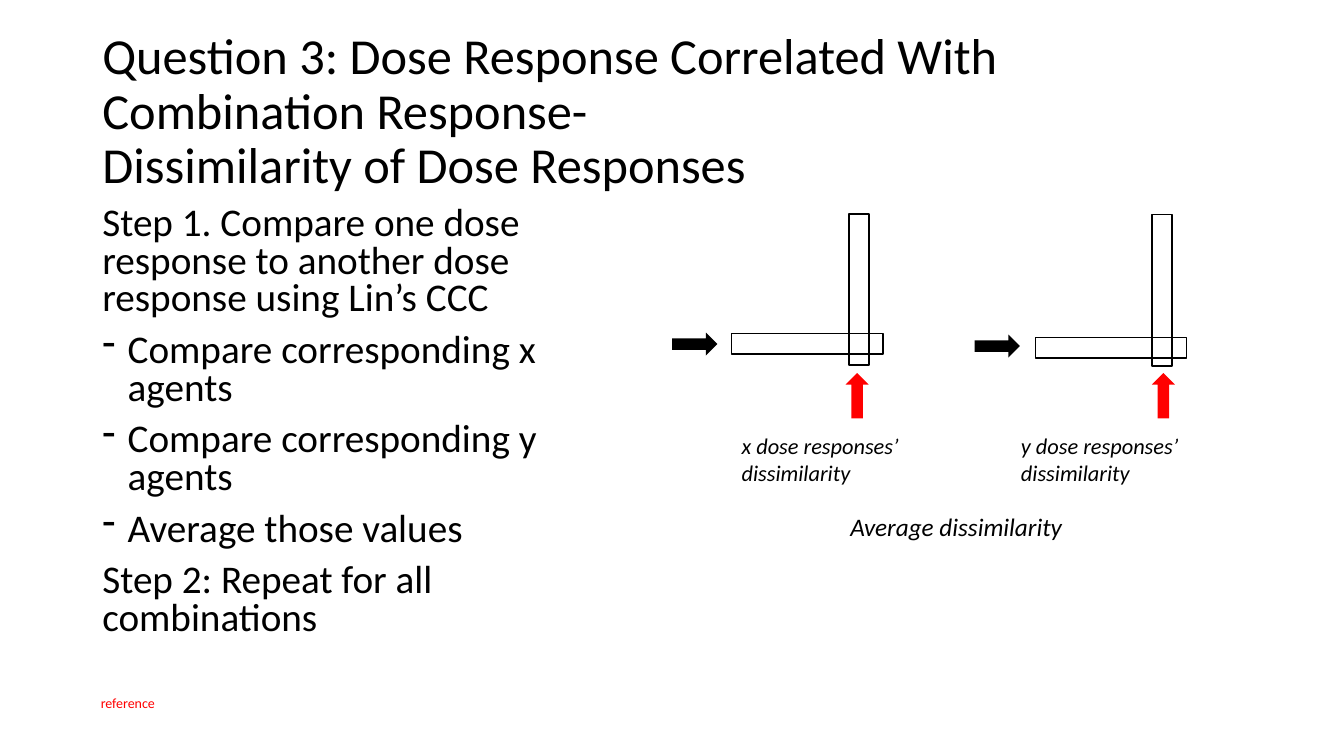
"""Build the slide on dissimilarity of dose responses."""
from dataclasses import dataclass

from lxml import etree
from pptx import Presentation
from pptx.dml.color import RGBColor
from pptx.enum.shapes import MSO_SHAPE
from pptx.enum.text import MSO_ANCHOR
from pptx.oxml.ns import qn
from pptx.util import Cm, Pt

RECTANGLE = MSO_SHAPE.RECTANGLE
ARROW = MSO_SHAPE.RIGHT_ARROW
TOP, MIDDLE = MSO_ANCHOR.TOP, MSO_ANCHOR.MIDDLE


@dataclass(frozen=True)
class Theme:
    font: str = "Calibri"
    black: RGBColor = RGBColor(0, 0, 0)
    red: RGBColor = RGBColor(255, 0, 0)
    title: int = 36
    body: int = 28
    average: int = 18
    caption: int = 16
    reference: int = 10


theme = Theme()

deck = Presentation()
deck.slide_width, deck.slide_height = Cm(33.87), Cm(19.05)
page = deck.slides.add_slide(deck.slide_layouts[6])


def add_text(place, lines, size, color=theme.black, italic=False, spacing=1.0, anchor=TOP):
    """Add a wrapped text box; lines starting with a dash become bullets."""
    box = page.shapes.add_textbox(*[Cm(length) for length in place])
    frame = box.text_frame
    frame.word_wrap = True
    frame.vertical_anchor = anchor
    for index, line in enumerate(lines):
        para = frame.paragraphs[0] if index == 0 else frame.add_paragraph()
        para.text = line.removeprefix("- ")
        para.line_spacing = spacing
        if index:
            para.space_before = Pt(10)
        if line.startswith("- "):
            properties = para._p.get_or_add_pPr()
            properties.set("marL", str(Cm(0.64)))
            properties.set("indent", str(-Cm(0.64)))
            etree.SubElement(properties, qn("a:buChar"), char="-")
        for span in para.runs:
            span.font.name = theme.font
            span.font.size = Pt(size)
            span.font.color.rgb = color
            span.font.italic = italic


def add_figure(kind, left, top, width, height, rotation):
    """Add a preset shape without fill, line or shadow."""
    shape = page.shapes.add_shape(kind, Cm(left), Cm(top), Cm(width), Cm(height))
    shape.rotation = rotation
    shape.shadow.inherit = False
    shape.fill.background()
    shape.line.fill.background()
    return shape


add_text((2.33, 1.01, 29.21, 3.68),
         ["Question 3: Dose Response Correlated With Combination Response-\n"
          "Dissimilarity of Dose Responses"],
         theme.title, spacing=0.9, anchor=MIDDLE)

steps = [
    "Step 1. Compare one dose response to another dose response using Lin’s CCC",
    "- Compare corresponding x agents",
    "- Compare corresponding y agents",
    "- Average those values",
    "Step 2: Repeat for all combinations",
]
add_text((2.33, 5.08, 11.68, 12.09), steps, theme.body, spacing=0.8)

bars = [(18.44, 8.41, 0), (19.74, 7.04, 90), (26.09, 8.51, 0), (27.38, 7.06, 90)]
for left, top, rotation in bars:
    bar = add_figure(RECTANGLE, left, top, 3.81, 0.51, rotation)
    bar.line.color.rgb = theme.black
    bar.line.width = Pt(1)

arrows = [
    (16.94, 8.38, 0, theme.black),
    (24.56, 8.43, 0, theme.black),
    (21.03, 9.68, 270, theme.red),
    (28.75, 9.68, 270, theme.red),
]
for left, top, rotation, color in arrows:
    arrow = add_figure(ARROW, left, top, 1.14, 0.58, rotation)
    arrow.fill.solid()
    arrow.fill.fore_color.rgb = color

for agent, left, width in [("x", 18.44, 5.49), ("y", 25.48, 5.87)]:
    add_text((left, 10.77, width, 1.63), [f"{agent} dose responses’ dissimilarity"],
             theme.caption, italic=True)

add_text((21.18, 12.75, 6.22, 1.02), ["Average dissimilarity"], theme.average, italic=True)
add_text((2.29, 17.42, 16.81, 1.09), ["reference"], theme.reference, theme.red, spacing=0.9)

deck.save("out.pptx")
